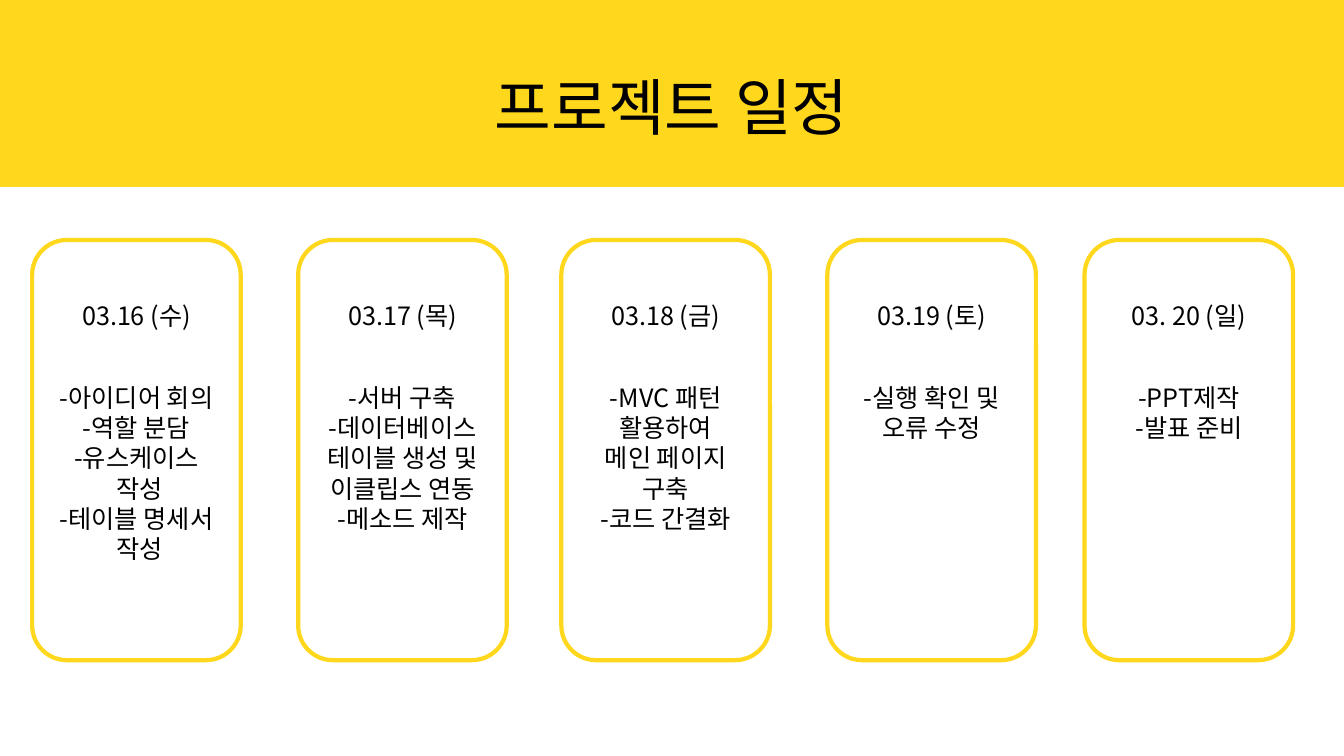
from lxml.etree import SubElement
from pptx import Presentation
from pptx.dml.color import RGBColor
from pptx.enum.shapes import MSO_SHAPE as SHAPE
from pptx.enum.text import MSO_ANCHOR as ANCHOR, PP_ALIGN as ALIGN
from pptx.oxml.ns import qn
from pptx.util import Pt

FONT = "Noto Sans CJK KR"
YELLOW = "FFD71C"
BLACK = "000000"
CARD_TOP, CARD_W, CARD_H = 171.4, 149, 300.2

SCHEDULE = [
    (23, "03.16 (수)", ["-아이디어 회의", "-역할 분담", "-유스케이스", " 작성",
                       "-테이블 명세서", " 작성"]),
    (213, "03.17 (목)", ["-서버 구축", "-데이터베이스 테이블 생성 및 이클립스 연동",
                        "-메소드 제작"]),
    (401, "03.18 (금)", ["-MVC 패턴", " 활용하여 ", "메인 페이지 구축", "-코드 간결화"]),
    (591, "03.19 (토)", ["-실행 확인 및", "오류 수정"]),
    (774.7, "03. 20 (일)", ["-PPT제작", "-발표 준비"]),
]


def color(hex_code):
    return RGBColor.from_string(hex_code)


def add_box(s, kind, x, y, w, h, line_width, fill=None):
    """Add a yellow-outlined shape, unfilled unless a fill is given."""
    sp = s.shapes.add_shape(kind, Pt(x), Pt(y), Pt(w), Pt(h))
    sp.shadow.inherit = False
    sp.line.color.rgb = color(YELLOW)
    sp.line.width = Pt(line_width)
    if fill:
        sp.fill.solid()
        sp.fill.fore_color.rgb = color(fill)
    else:
        sp.fill.background()


def add_text(s, lines, x, y, w, h, size=18, anchor=ANCHOR.TOP, spacing=None):
    """Add centred text, one paragraph per line."""
    tf = s.shapes.add_textbox(Pt(x), Pt(y), Pt(w), Pt(h)).text_frame
    tf.word_wrap = True
    tf.vertical_anchor = anchor
    tf.text = "\n".join(lines)
    for p in tf.paragraphs:
        p.alignment = ALIGN.CENTER
        p.line_spacing = spacing
        for r in p.runs:
            r.font.size = Pt(size)
            r.font.name = FONT
            r.font.color.rgb = color(BLACK)
            SubElement(r.font._element, qn("a:ea"), typeface=FONT)


def add_header(s, x, y, w, h):
    add_box(s, SHAPE.RECTANGLE, x, y, w, h, 1, YELLOW)
    add_text(s, ["프로젝트 일정"], x + 330.5, y + 26.6, 298.8, 104.4,
             size=44, anchor=ANCHOR.MIDDLE, spacing=0.9)


def add_day_card(s, x, y, w, h, date, tasks):
    add_box(s, SHAPE.ROUNDED_RECTANGLE, x, y, w, h, 3)
    add_text(s, [date], x + 26.3, y + 39.6, w - 52.5, 29)
    add_text(s, tasks, x + 10, y + 98, w - 20, 22 * len(tasks) + 7)


def main():
    prs = Presentation()
    prs.slide_width, prs.slide_height = Pt(960), Pt(540)
    s = prs.slides.add_slide(prs.slide_layouts[6])
    add_header(s, 0, 0, 960, 133.2)
    for x, date, tasks in SCHEDULE:
        add_day_card(s, x, CARD_TOP, CARD_W, CARD_H, date, tasks)
    prs.save("out.pptx")


if __name__ == "__main__":
    main()
